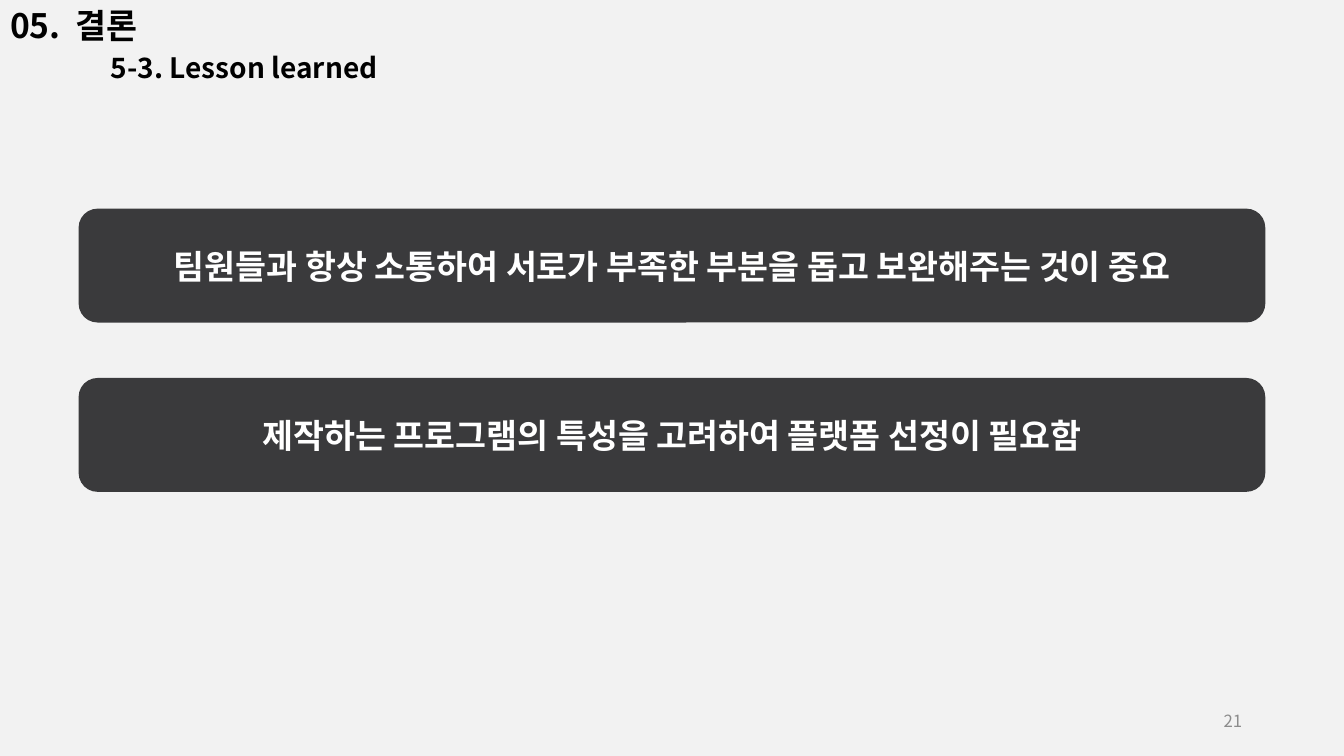
import pptx
import pptx.util
import pptx.dml.color
import pptx.enum.shapes
import pptx.enum.text
import pptx.oxml.ns
from dataclasses import dataclass
from lxml import etree

Inches = pptx.util.Inches
Align = pptx.enum.text.PP_ALIGN
Anchor = pptx.enum.text.MSO_ANCHOR
qn = pptx.oxml.ns.qn


@dataclass(frozen=True)
class Theme:
    font: str = "Noto Sans CJK KR"
    back: str = "F2F2F2"
    card: str = "3A3A3C"
    dark: str = "000000"
    light: str = "FFFFFF"
    grey: str = "8C8C8C"
    large: int = 24
    mid: int = 20
    small: int = 12


theme = Theme()


def color(code):
    return pptx.dml.color.RGBColor.from_string(code)


def add_run(para, text, size, code, bold=True):
    """Append a run, with the font set for Latin and Korean text alike."""
    run = para.add_run()
    run.text = text
    font = run.font
    font.name, font.size, font.bold = theme.font, pptx.util.Pt(size), bold
    font.color.rgb = color(code)
    props = run._r.get_or_add_rPr()
    etree.SubElement(props, qn("a:ea"), typeface=theme.font)
    return props


deck = pptx.Presentation()
deck.slide_width, deck.slide_height = Inches(13.33), Inches(7.5)
slide = deck.slides.add_slide(deck.slide_layouts[5])
slide.background.fill.solid()
slide.background.fill.fore_color.rgb = color(theme.back)

# Heading: chapter, then section at a one-inch tab
title = slide.shapes.title
title.left, title.top = Inches(0), Inches(0)
title.width, title.height = Inches(5.73), Inches(0.91)
frame = title.text_frame
frame.word_wrap = True
frame.auto_size = pptx.enum.text.MSO_AUTO_SIZE.SHAPE_TO_FIT_TEXT
frame.vertical_anchor = Anchor.TOP

head = frame.paragraphs[0]
head.alignment = Align.LEFT
add_run(head, "05.", theme.large, theme.dark)
gap = add_run(head, " ", theme.large, theme.dark)
gap.set("spc", "540")
add_run(head, "결론", theme.large, theme.dark)

sub = frame.add_paragraph()
sub.alignment = Align.LEFT
tabs = etree.SubElement(sub._p.get_or_add_pPr(), qn("a:tabLst"))
etree.SubElement(tabs, qn("a:tab"), pos=str(Inches(1)), algn="l")
add_run(sub, "\t", theme.large, theme.dark)
add_run(sub, "5-3. Lesson learned", theme.mid, theme.dark)

# Lesson cards
lessons = [
    "팀원들과 항상 소통하여 서로가 부족한 부분을 돕고 보완해주는 것이 중요",
    "제작하는 프로그램의 특성을 고려하여 플랫폼 선정이 필요함",
]
top, step = 2.07, 1.68
for row, lesson in enumerate(lessons):
    card = slide.shapes.add_shape(
        pptx.enum.shapes.MSO_SHAPE.ROUNDED_RECTANGLE,
        Inches(0.78), Inches(top + row * step), Inches(11.77), Inches(1.13))
    card.shadow.inherit = False
    card.fill.solid()
    card.fill.fore_color.rgb = color(theme.card)
    card.line.fill.background()
    card.text_frame.word_wrap = True
    card.text_frame.vertical_anchor = Anchor.MIDDLE
    para = card.text_frame.paragraphs[0]
    para.alignment = Align.CENTER
    add_run(para, lesson, theme.large, theme.light)

# Page number
page = slide.shapes.add_textbox(Inches(9.42), Inches(6.95), Inches(3), Inches(0.4))
page.text_frame.word_wrap = True
page.text_frame.vertical_anchor = Anchor.MIDDLE
para = page.text_frame.paragraphs[0]
para.alignment = Align.RIGHT
add_run(para, "21", theme.small, theme.grey, bold=False)

deck.save("out.pptx")
